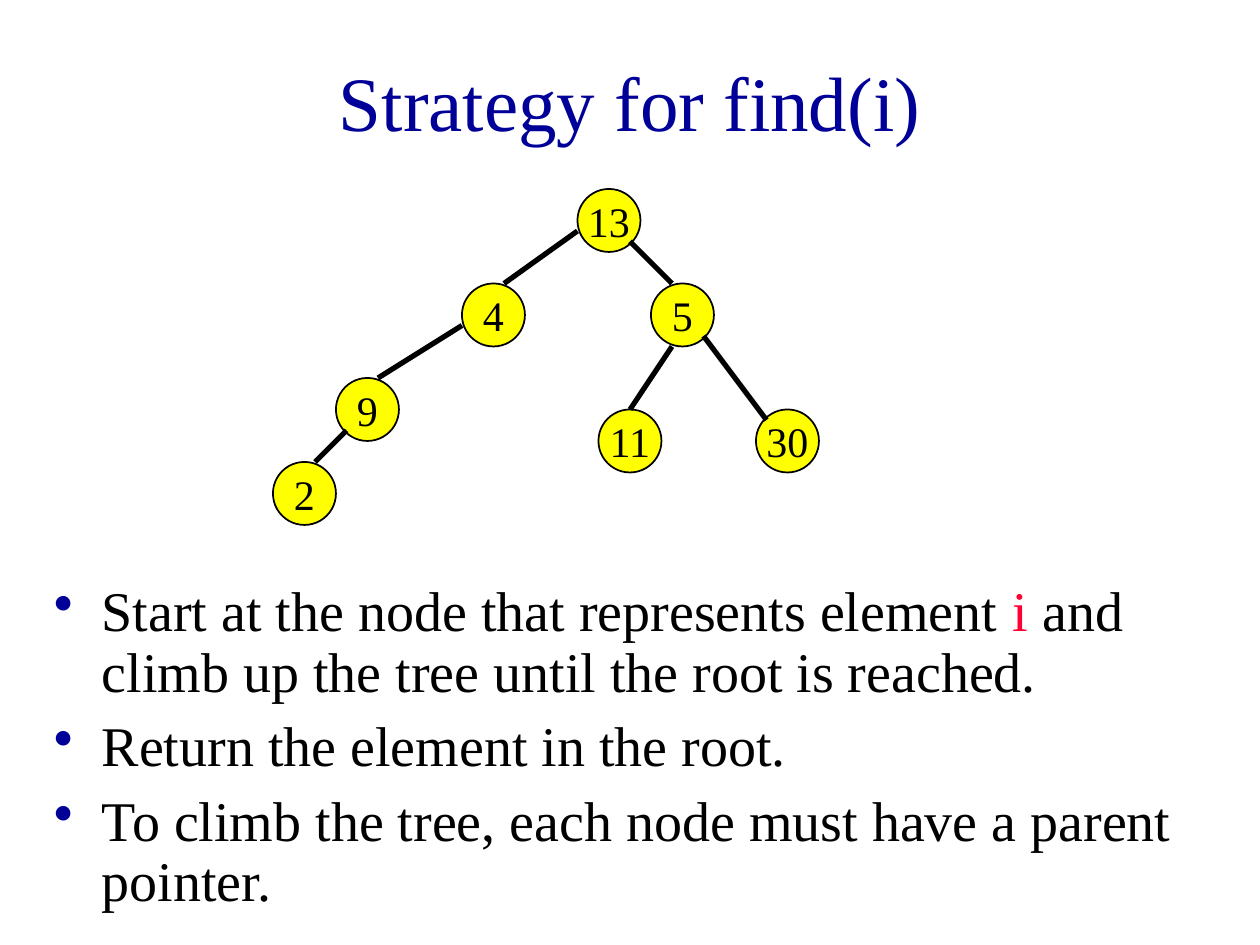
from lxml import etree
from pptx import Presentation
from pptx.dml.color import RGBColor
from pptx.enum.shapes import MSO_CONNECTOR, MSO_SHAPE
from pptx.enum.text import MSO_ANCHOR, PP_ALIGN
from pptx.oxml.ns import qn
from pptx.util import Inches, Pt

STRAIGHT, CIRCLE = MSO_CONNECTOR.STRAIGHT, MSO_SHAPE.OVAL
TOP, MIDDLE = MSO_ANCHOR.TOP, MSO_ANCHOR.MIDDLE
LEFT, CENTER = PP_ALIGN.LEFT, PP_ALIGN.CENTER

FONT = "Times New Roman"
NAVY, BLACK, RED, YELLOW = "000099", "000000", "FF0033", "FFFF00"
UNIT = Inches(1) // 12  # one step of the tree's grid
DIAMETER = 6

TITLE = "Strategy for find(i)"
BULLETS = [
    [("Start at the node that represents element ", BLACK), ("i", RED),
     (" and climb up the tree until the root is reached.", BLACK)],
    [("Return the element in the root.", BLACK)],
    [("To climb the tree, each node must have a parent pointer.", BLACK)],
]
# Element: column and row of its circle's top left corner
NODES = {
    13: (55, 18),
    4: (44, 27), 5: (62, 27),
    9: (32, 36), 11: (57, 39), 30: (72, 39),
    2: (26, 44),
}
# Parent, child, and where the edge meets each circle, from its top left corner
EDGES = [
    (13, 4, (0, 4), (4, 0)),
    (4, 9, (0, 4), (4, 0)),
    (13, 5, (5, 5), (2, 0)),
    (9, 2, (1, 5), (4, 0)),
    (5, 11, (2, 6), (3, 0)),
    (5, 30, (5, 5), (1, 1)),
]


def color(value):
    return RGBColor.from_string(value)


def format_with(target, values):
    for name, value in values.items():
        setattr(target, name, value)


def add_run(paragraph, text, size, ink):
    run = paragraph.add_run()
    run.text = text
    format_with(run.font, {"name": FONT, "size": Pt(size)})
    run.font.color.rgb = color(ink)


def add_text_box(slide, box, anchor):
    frame = slide.shapes.add_textbox(*map(Inches, box)).text_frame
    format_with(frame, {"word_wrap": True, "vertical_anchor": anchor})
    return frame


def add_bullet(paragraph, ink):
    properties = paragraph._p.get_or_add_pPr()
    properties.set("marL", str(Inches(0.38)))
    properties.set("indent", str(-Inches(0.38)))
    bullet_color = etree.SubElement(properties, qn("a:buClr"))
    etree.SubElement(bullet_color, qn("a:srgbClr"), val=ink)
    etree.SubElement(properties, qn("a:buChar"), char="•")


def add_title(slide):
    paragraph = add_text_box(slide, (0.75, 0.17, 8.5, 1.25), MIDDLE).paragraphs[0]
    paragraph.alignment = CENTER
    add_run(paragraph, TITLE, 44, NAVY)


def add_bullets(slide):
    frame = add_text_box(slide, (0.33, 4.58, 9.17, 2.92), TOP)
    for index, pieces in enumerate(BULLETS):
        paragraph = frame.add_paragraph() if index else frame.paragraphs[0]
        add_bullet(paragraph, NAVY)
        format_with(paragraph, {"alignment": LEFT, "line_spacing": 0.9,
                                "space_before": Pt(8 if index else 0)})
        for text, ink in pieces:
            add_run(paragraph, text, 32, ink)


def add_node(slide, element, corner):
    left, top = (step * UNIT for step in corner)
    node = slide.shapes.add_shape(CIRCLE, left, top, DIAMETER * UNIT, DIAMETER * UNIT)
    node.shadow.inherit = False
    node.fill.solid()
    node.fill.fore_color.rgb = color(YELLOW)
    node.line.color.rgb = color(BLACK)
    node.line.width = Pt(1)
    frame = node.text_frame
    format_with(frame, {"word_wrap": False, "vertical_anchor": MIDDLE,
                        "margin_left": 0, "margin_right": 0,
                        "margin_top": 0, "margin_bottom": 0})
    frame.paragraphs[0].alignment = CENTER
    add_run(frame.paragraphs[0], str(element), 24, BLACK)


def add_edge(slide, parent, child, parent_offset, child_offset):
    ends = [(corner + offset) * UNIT
            for node, offsets in ((parent, parent_offset), (child, child_offset))
            for corner, offset in zip(NODES[node], offsets)]
    edge = slide.shapes.add_connector(STRAIGHT, *ends)
    edge.line.color.rgb = color(BLACK)
    edge.line.width = Pt(3)
    etree.SubElement(edge._element.spPr, qn("a:effectLst"))


def main():
    deck = Presentation()
    format_with(deck, {"slide_width": Inches(10), "slide_height": Inches(7.5)})
    slide = deck.slides.add_slide(deck.slide_layouts[6])
    add_title(slide)
    add_bullets(slide)
    for element, corner in NODES.items():
        add_node(slide, element, corner)
    for edge in EDGES:
        add_edge(slide, *edge)
    deck.save("out.pptx")


if __name__ == "__main__":
    main()
